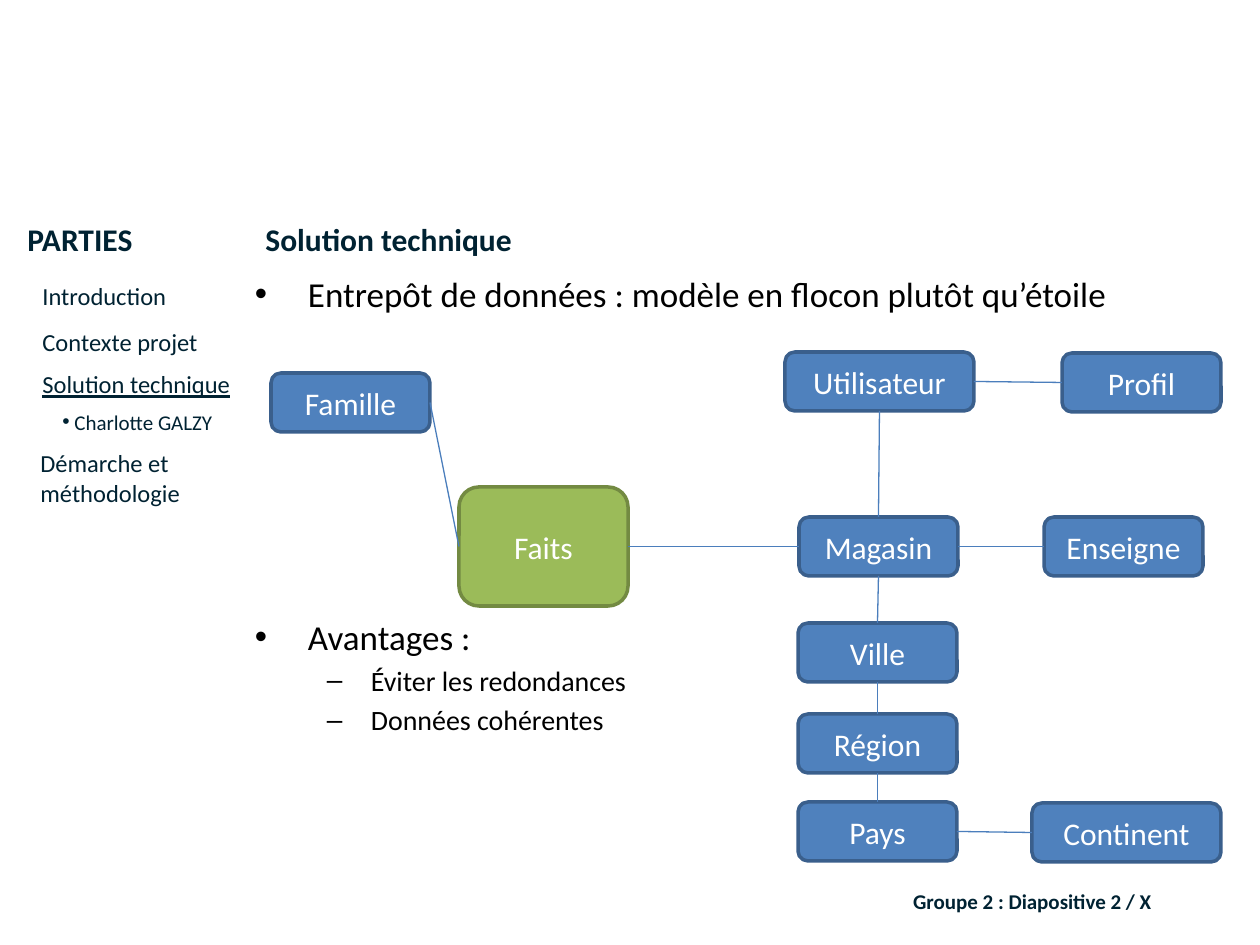
import lxml.etree
import pptx
import pptx.dml.color
import pptx.enum.shapes
import pptx.enum.text
import pptx.oxml.ns
import pptx.util

NAVY, BLACK, WHITE = "002232", "000000", "FFFFFF"
BLUE, BLUE_EDGE = "4F81BD", "3A5F8C"
GREEN, GREEN_EDGE = "9BBB59", "738A42"
LINK = "4B7EBC"
LEFT, CENTER, RIGHT = (getattr(pptx.enum.text.PP_ALIGN, name) for name in ("LEFT", "CENTER", "RIGHT"))
MIDDLE = pptx.enum.text.MSO_ANCHOR.MIDDLE
hex_color = pptx.dml.color.RGBColor.from_string


def px(*lengths):
    """Turn pixels, 126 to the inch, into EMU."""
    return [round(length * 914400 / 126) for length in lengths]


def write(frame, text, size=14, color=NAVY, bold=False, underline=False,
          align=LEFT, bullet=None, margin=0, hanging=0, before=0):
    """Add one paragraph, using the first one while it is still empty."""
    para = frame.paragraphs[0] if not frame.text else frame.add_paragraph()
    para.alignment = align
    para.space_before = pptx.util.Pt(before)
    span = para.add_run()
    span.text = text
    span.font.name = "Calibri"
    span.font.size = pptx.util.Pt(size)
    span.font.bold = bold
    span.font.underline = underline
    span.font.color.rgb = hex_color(color)
    if bullet:
        props = para._p.get_or_add_pPr()
        indents = px(margin, -hanging)
        props.set("marL", str(indents[0]))
        props.set("indent", str(indents[1]))
        mark_font = lxml.etree.SubElement(props, pptx.oxml.ns.qn("a:buFont"))
        mark_font.set("typeface", "Arial")
        mark = lxml.etree.SubElement(props, pptx.oxml.ns.qn("a:buChar"))
        mark.set("char", bullet)


deck = pptx.Presentation()
deck.slide_width, deck.slide_height = px(1260, 945)
page = deck.slides.add_slide(deck.slide_layouts[6])

# Headings and side menu
heading = {"size": 18, "bold": True}
labels = [
    (30, 275, 151, 43, ["Introduction"], {}),
    (30, 321, 183, 43, ["Contexte projet"], {}),
    (30, 363, 215, 43, ["Solution technique"], {"underline": True}),
    (28, 442, 166, 72, ["Démarche et", "méthodologie"], {}),
    (50, 403, 178, 38, ["Charlotte GALZY"],
     {"size": 12, "bullet": "•", "margin": 12, "hanging": 12}),
    (253, 214, 273, 50, ["Solution technique"], heading),
    (15, 214, 131, 50, ["PARTIES"], heading),
]
for left, top, width, height, lines, style in labels:
    box = page.shapes.add_textbox(*px(left, top, width, height))
    box.text_frame.word_wrap = False
    for line in lines:
        write(box.text_frame, line, **style)

footer = page.shapes.add_textbox(*px(871, 876, 293, 50))
footer.text_frame.word_wrap = True
footer.text_frame.vertical_anchor = MIDDLE
write(footer.text_frame, "Groupe 2 : Diapositive 2 / X", size=12, bold=True, align=RIGHT)

# Body text above and below the diagram
point = {"size": 20, "bullet": "•", "margin": 53, "hanging": 53, "before": 4}
subpoint = {"size": 16, "bullet": "–", "margin": 116, "hanging": 44, "before": 3.2}
bodies = [
    (265, 924, 60, [("Entrepôt de données : modèle en flocon plutôt qu’étoile", point)]),
    (608, 520, 150, [("Avantages :", point),
                     ("Éviter les redondances", subpoint),
                     ("Données cohérentes", subpoint)]),
]
for top, width, height, lines in bodies:
    box = page.shapes.add_textbox(*px(241, top, width, height))
    frame = box.text_frame
    frame.word_wrap = True
    frame.margin_left, frame.margin_right, frame.margin_top, frame.margin_bottom = px(14, 14, 8, 8)
    for text, style in lines:
        write(frame, text, color=BLACK, **style)

# Snowflake model: tables
tables = [
    ("Faits", 459, 487, 169, 119),
    ("Magasin", 799, 517, 159, 59),
    ("Famille", 271, 373, 159, 59),
    ("Enseigne", 1044, 517, 159, 59),
    ("Ville", 798, 623, 159, 59),
    ("Région", 798, 714, 159, 59),
    ("Pays", 798, 802, 159, 59),
    ("Continent", 1032, 803, 189, 59),
    ("Utilisateur", 785, 352, 189, 59),
    ("Profil", 1062, 353, 159, 59),
]
nodes = {}
for name, left, top, width, height in tables:
    fill, edge = (GREEN, GREEN_EDGE) if name == "Faits" else (BLUE, BLUE_EDGE)
    node = page.shapes.add_shape(
        pptx.enum.shapes.MSO_SHAPE.ROUNDED_RECTANGLE, *px(left, top, width, height))
    node.shadow.inherit = False
    node.fill.solid()
    node.fill.fore_color.rgb = hex_color(fill)
    node.line.color.rgb = hex_color(edge)
    node.line.width = pptx.util.Pt(2)
    node.text_frame.vertical_anchor = MIDDLE
    write(node.text_frame, name, size=18, color=WHITE, align=CENTER)
    nodes[name] = node

# Snowflake model: links, with the side each one leaves and reaches
TOP_SIDE, LEFT_SIDE, BOTTOM_SIDE, RIGHT_SIDE = range(4)
links = [
    ("Faits", RIGHT_SIDE, "Magasin", LEFT_SIDE),
    ("Famille", RIGHT_SIDE, "Faits", LEFT_SIDE),
    ("Magasin", BOTTOM_SIDE, "Ville", TOP_SIDE),
    ("Ville", BOTTOM_SIDE, "Région", TOP_SIDE),
    ("Région", BOTTOM_SIDE, "Pays", TOP_SIDE),
    ("Pays", RIGHT_SIDE, "Continent", LEFT_SIDE),
    ("Magasin", RIGHT_SIDE, "Enseigne", LEFT_SIDE),
    ("Utilisateur", BOTTOM_SIDE, "Magasin", TOP_SIDE),
    ("Utilisateur", RIGHT_SIDE, "Profil", LEFT_SIDE),
]
for start, start_side, end, end_side in links:
    link = page.shapes.add_connector(pptx.enum.shapes.MSO_CONNECTOR.STRAIGHT, 0, 0, 0, 0)
    link.begin_connect(nodes[start], start_side)
    link.end_connect(nodes[end], end_side)
    link.line.color.rgb = hex_color(LINK)
    link.line.width = pptx.util.Pt(0.75)
    lxml.etree.SubElement(link._element.spPr, pptx.oxml.ns.qn("a:effectLst"))

deck.save("out.pptx")
